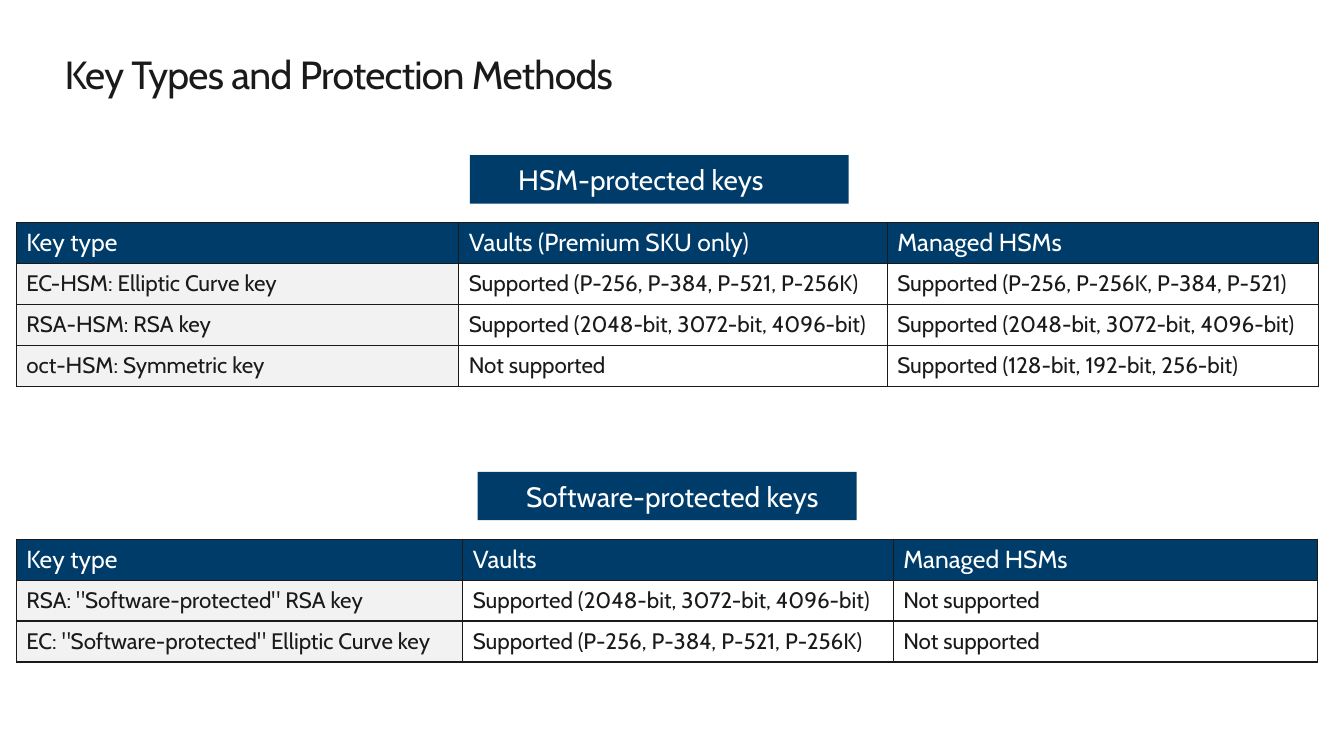
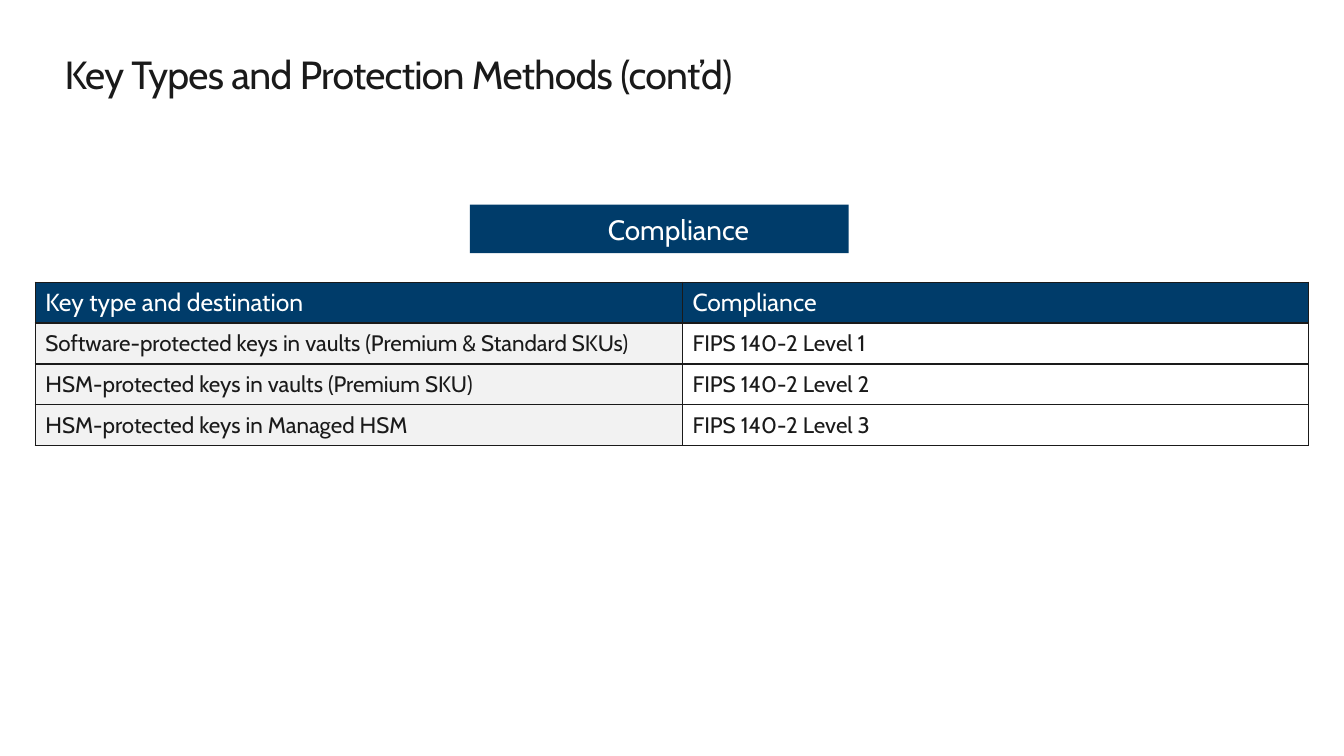
from lxml import etree
from pptx import Presentation
from pptx import util as u
from pptx.dml import color
from pptx.enum import shapes, text
from pptx.oxml import ns

FONT = "Cabin"
COLORS = {"ink": "1A1A1A", "navy": "003C6A", "grey": "F2F2F2", "white": "FFFFFF"}
ROW_H = 1.03
BANNER_W, BANNER_H = 9.55, 1.22


def rgb(name):
    return color.RGBColor.from_string(COLORS[name])


def set_text(tf, content, size, ink):
    """Write one line of text and return its paragraph."""
    tf.text = content
    p = tf.paragraphs[0]
    f = p.runs[0].font
    f.name, f.size, f.color.rgb = FONT, u.Pt(size), rgb(ink)
    return p


def add_title(s, title):
    tb = s.shapes.add_textbox(u.Cm(1.63), u.Cm(1.27), u.Cm(30.61), u.Cm(1.19))
    tf = tb.text_frame
    tf.word_wrap = True
    tf.auto_size = text.MSO_AUTO_SIZE.SHAPE_TO_FIT_TEXT
    tf.margin_left = tf.margin_right = tf.margin_top = tf.margin_bottom = 0
    p = set_text(tf, title, 28, "ink")
    p.runs[0]._r.get_or_add_rPr().set("spc", "-50")


def add_banner(s, left, top, label, align):
    sp = s.shapes.add_shape(shapes.MSO_SHAPE.RECTANGLE, u.Cm(left), u.Cm(top),
                            u.Cm(BANNER_W), u.Cm(BANNER_H))
    sp.shadow.inherit = False
    sp.fill.solid()
    sp.fill.fore_color.rgb = rgb("navy")
    sp.line.fill.background()
    tf = sp.text_frame
    tf.vertical_anchor = text.MSO_ANCHOR.MIDDLE
    tf.margin_left = u.Cm(1.22)
    set_text(tf, label, 20, "white").alignment = align


def add_borders(cell):
    tcPr = cell._tc.get_or_add_tcPr()
    for side in ("lnL", "lnR", "lnT", "lnB"):
        ln = etree.SubElement(tcPr, ns.qn("a:" + side), w=str(u.Pt(1)))
        fill = etree.SubElement(ln, ns.qn("a:solidFill"))
        etree.SubElement(fill, ns.qn("a:srgbClr"), val=COLORS["ink"])


def add_grid(s, left, top, widths, rows):
    tbl = s.shapes.add_table(len(rows), len(widths), u.Cm(left), u.Cm(top),
                             u.Cm(sum(widths)), u.Cm(ROW_H * len(rows))).table
    for col, width in zip(tbl.columns, widths):
        col.width = u.Cm(width)
    for i, row in enumerate(rows):
        tbl.rows[i].height = u.Cm(ROW_H)
        for j, content in enumerate(row):
            cell = tbl.cell(i, j)
            add_borders(cell)
            cell.fill.solid()
            # Navy header row, grey first column, white body
            back = "navy" if i == 0 else "grey" if j == 0 else "white"
            cell.fill.fore_color.rgb = rgb(back)
            cell.vertical_anchor = text.MSO_ANCHOR.MIDDLE
            size, ink = (17.6, "white") if i == 0 else (16, "ink")
            set_text(cell.text_frame, content, size, ink)


def add_section(s, left, top, label, widths, rows, banner_dx, table_dy,
                align=text.PP_ALIGN.LEFT):
    """Banner with its table below, placed from the section's top left."""
    add_grid(s, left, top + table_dy, widths, rows)
    add_banner(s, left + banner_dx, top, label, align)


def add_slide(prs, title, sections):
    s = prs.slides.add_slide(prs.slide_layouts[6])
    add_title(s, title)
    for section in sections:
        add_section(s, **section)


# Content
CURVES = "Supported (P-256, P-384, P-521, P-256K)"
RSA_SIZES = "Supported (2048-bit, 3072-bit, 4096-bit)"
NONE = "Not supported"

HSM_KEYS = dict(
    left=0.41, top=3.91, label="HSM-protected keys", banner_dx=11.43, table_dy=1.7,
    widths=[11.15, 10.8, 10.87],
    rows=[
        ("Key type", "Vaults (Premium SKU only)", "Managed HSMs"),
        ("EC-HSM: Elliptic Curve key", CURVES, "Supported (P-256, P-256K, P-384, P-521)"),
        ("RSA-HSM: RSA key", RSA_SIZES, RSA_SIZES),
        ("oct-HSM: Symmetric key", NONE, "Supported (128-bit, 192-bit, 256-bit)"),
    ])
SOFTWARE_KEYS = dict(
    left=0.41, top=11.89, label="Software-protected keys", banner_dx=11.63, table_dy=1.7,
    widths=[11.25, 10.85, 10.69],
    rows=[
        ("Key type", "Vaults", "Managed HSMs"),
        ('RSA: "Software-protected" RSA key', RSA_SIZES, NONE),
        ('EC: "Software-protected" Elliptic Curve key', CURVES, NONE),
    ])
COMPLIANCE = dict(
    left=0.89, top=5.16, label="Compliance", banner_dx=10.95, table_dy=1.95,
    widths=[16.31, 15.77], align=text.PP_ALIGN.CENTER,
    rows=[
        ("Key type and destination", "Compliance"),
        ("Software-protected keys in vaults (Premium & Standard SKUs)", "FIPS 140-2 Level 1"),
        ("HSM-protected keys in vaults (Premium SKU)", "FIPS 140-2 Level 2"),
        ("HSM-protected keys in Managed HSM", "FIPS 140-2 Level 3"),
    ])


def main():
    prs = Presentation()
    prs.slide_width, prs.slide_height = u.Cm(33.87), u.Cm(19.05)
    title = "Key Types and Protection Methods"
    add_slide(prs, title, [HSM_KEYS, SOFTWARE_KEYS])
    add_slide(prs, title + " (cont’d)", [COMPLIANCE])
    prs.save("out.pptx")


if __name__ == "__main__":
    main()
